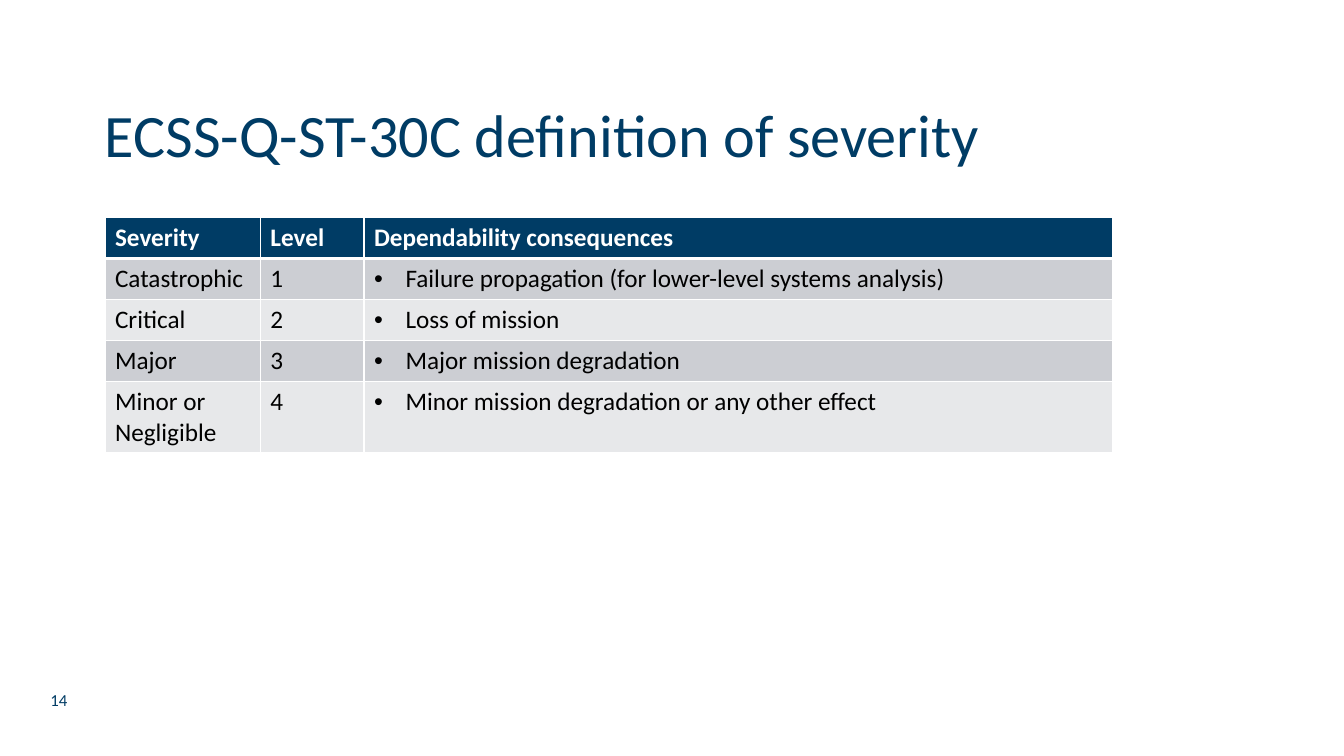
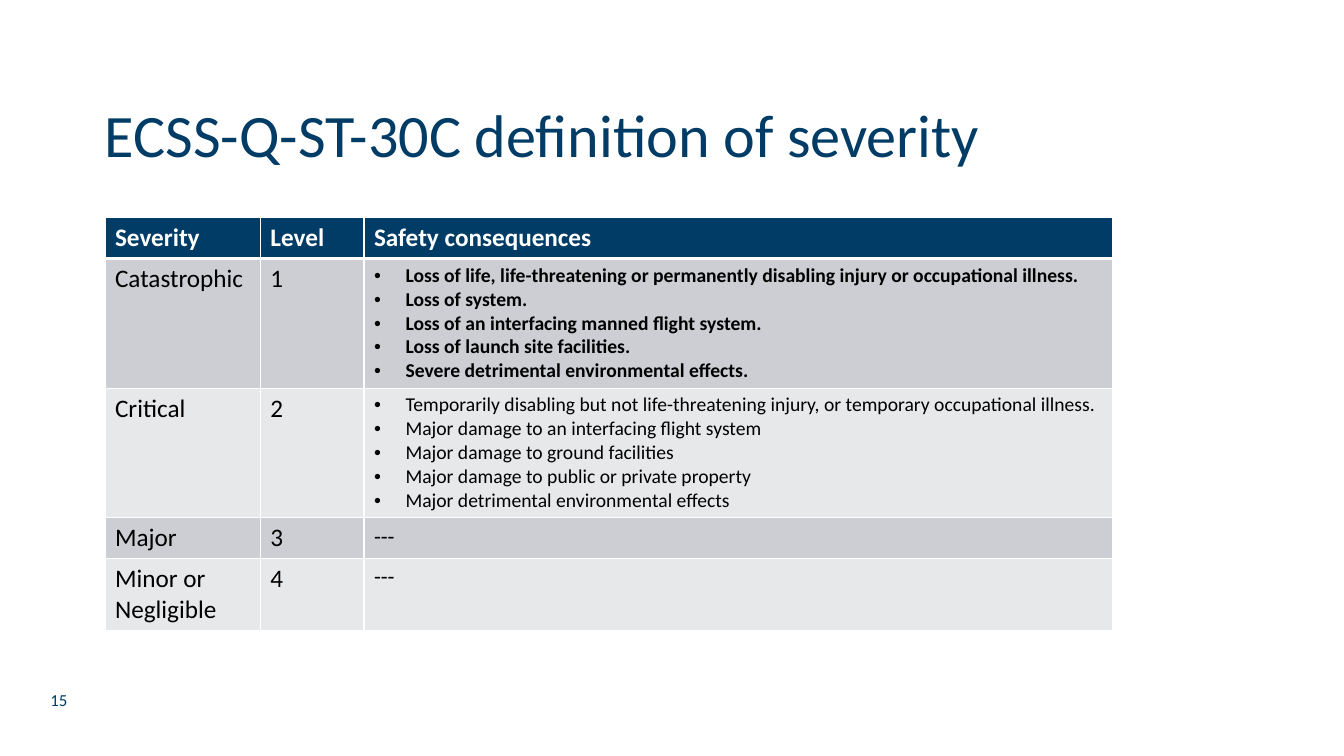
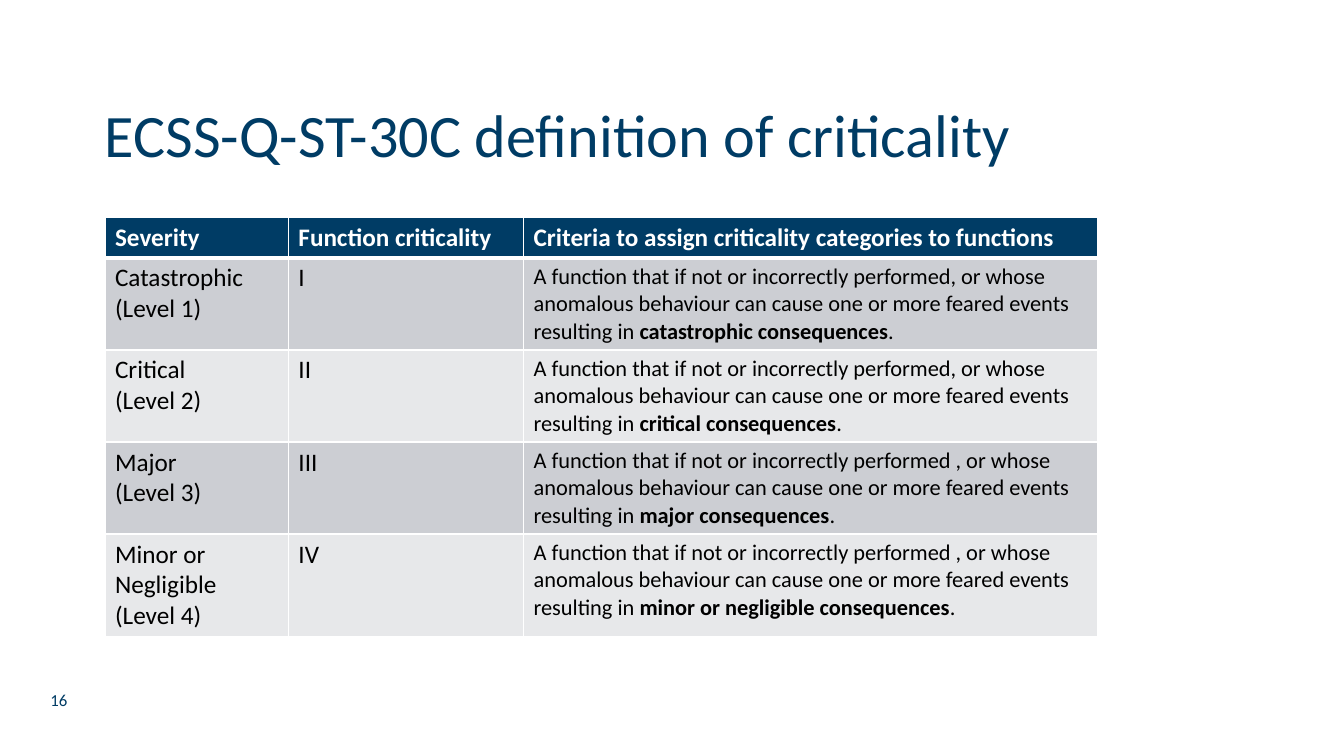
from pptx import Presentation
from pptx.dml.color import RGBColor as RGB
from pptx.enum.text import MSO_ANCHOR as Anchor
from pptx.oxml.ns import qn
from pptx.util import Pt
from lxml.etree import SubElement as Sub

HUES = {"navy": "003C65", "white": "FFFFFF", "black": "000000",
        "dark": "CCCED3", "light": "E7E8EA"}
FACE = "Calibri"
HEAD = {"size": Pt(18), "bold": True}
BODY = {"size": Pt(18), "bold": False}
TITLE = {"size": Pt(43)}
FOOT = {"size": Pt(12)}
TITLE_BOX = (75, 70, 708.5, 72.5)
FOOT_BOX = (36, 492.5, 24.5, 14.5)
LEFT = 75
LINE, TALL = 29.25, 51.25
LEVELS = ["Catastrophic", "Critical", "Major", "Minor or Negligible"]


def style(run, hue, form):
    for key, val in {"name": FACE, **form}.items():
        setattr(run.font, key, val)
    run.font.color.rgb = RGB.from_string(HUES[hue])


def add_bullet(para):
    props = para._p.get_or_add_pPr()
    for key, val in {"marL": Pt(22.5), "indent": -Pt(22.5)}.items():
        props.set(key, str(int(val)))
    Sub(props, qn("a:buFont"), typeface="Arial")
    Sub(props, qn("a:buChar"), char="•")


def write(frame, paras, hue, form, bullet=False):
    """Fill a frame; each paragraph is a string or a list of (text, bold)."""
    frame.word_wrap = True
    for i, parts in enumerate(paras):
        para = frame.add_paragraph() if i else frame.paragraphs[0]
        if bullet:
            add_bullet(para)
        if isinstance(parts, str):
            parts = [(parts, form.get("bold", False))]
        for text, bold in parts:
            run = para.add_run()
            run.text = text
            style(run, hue, {**form, "bold": bold})


def add_label(slide, box, text, form, foot=0):
    frame = slide.shapes.add_textbox(*map(Pt, box)).text_frame
    pads = {"margin_left": 0, "margin_top": 0, "margin_right": 0,
            "margin_bottom": Pt(foot), "vertical_anchor": Anchor.MIDDLE}
    for key, val in pads.items():
        setattr(frame, key, val)
    write(frame, [text], "navy", form)


def paint(cell, hue, base):
    """Give a cell white borders, the lower one base points wide, and a fill."""
    props = cell._tc.get_or_add_tcPr()
    for side, wide in {"lnL": 1, "lnR": 1, "lnT": 1, "lnB": base}.items():
        edge = Sub(props, qn("a:" + side), w=str(int(Pt(wide))))
        Sub(Sub(edge, qn("a:solidFill")), qn("a:srgbClr"), val=HUES["white"])
    cell.fill.solid()
    cell.fill.fore_color.rgb = RGB.from_string(HUES[hue])


def add_grid(slide, top, cols, rows, heads, body):
    """Each body row holds two lists of lines and a (lines, form, bullet)."""
    box = (LEFT, top, sum(cols), sum(rows))
    grid = slide.shapes.add_table(len(rows), len(cols), *map(Pt, box)).table
    for col, wide in zip(grid.columns, cols):
        col.width = Pt(wide)
    for row, high in zip(grid.rows, rows):
        row.height = Pt(high)
    for c, text in enumerate(heads):
        cell = grid.cell(0, c)
        paint(cell, "navy", 3)
        write(cell.text_frame, [text], "white", HEAD)
    for r, (name, rank, last) in enumerate(body, 1):
        cells = [(name, BODY, False), (rank, BODY, False), last]
        for c, (paras, form, bullet) in enumerate(cells):
            cell = grid.cell(r, c)
            paint(cell, "dark" if r % 2 else "light", 1)
            write(cell.text_frame, paras, "black", form, bullet)


def add_page(deck, num, title, *grid):
    slide = deck.slides.add_slide(deck.slide_layouts[6])
    add_label(slide, TITLE_BOX, title, TITLE, 21.5)
    add_grid(slide, *grid)
    add_label(slide, FOOT_BOX, str(num), FOOT)


def add_severity(deck, num, kind, rows, lasts):
    body = [([name], [str(i)], last)
            for i, (name, last) in enumerate(zip(LEVELS, lasts), 1)]
    add_page(deck, num, "ECSS-Q-ST-30C definition of severity", 155.5,
             (111, 74, 535), rows,
             ["Severity", "Level", kind + " consequences"], body)


def add_critical(deck, num):
    body = []
    for i, (name, rank) in enumerate(zip(LEVELS, ["I", "II", "III", "IV"]), 1):
        gap = " " if i > 2 else ""
        rule = [(f"A function that if not or incorrectly performed{gap}, or "
                 "whose anomalous behaviour can cause one or more feared "
                 "events resulting in ", False),
                (name.lower() + " consequences", True), (".", False)]
        body.append(([name, f"(Level {i})"], [rank],
                     ([rule], {"size": Pt(16)}, False)))
    add_page(deck, num, "ECSS-Q-ST-30C definition of criticality", 155,
             (131, 168, 410), (LINE, 65.75, 65.75, 65.75, 73),
             ["Severity", "Function criticality",
              "Criteria to assign criticality categories to functions"], body)


def main():
    deck = Presentation()
    deck.slide_width, deck.slide_height = Pt(960), Pt(540)
    effects = ["Failure propagation (for lower-level systems analysis)",
               "Loss of mission", "Major mission degradation",
               "Minor mission degradation or any other effect"]
    add_severity(deck, 14, "Dependability", (LINE, LINE, LINE, LINE, TALL),
                 [([text], BODY, True) for text in effects])
    worst = ["Loss of life, life-threatening or permanently disabling injury "
             "or occupational illness.",
             "Loss of system.",
             "Loss of an interfacing manned flight system.",
             "Loss of launch site facilities.",
             "Severe detrimental environmental effects."]
    grave = ["Temporarily disabling but not life-threatening injury, or "
             "temporary occupational illness.",
             "Major damage to an interfacing flight system",
             "Major damage to ground facilities",
             "Major damage to public or private property",
             "Major detrimental environmental effects"]
    none = (["---"], {"size": Pt(16)}, False)
    add_severity(deck, 15, "Safety", (LINE, 92.5, 92.5, LINE, TALL),
                 [(worst, {"size": Pt(14), "bold": True}, True),
                  (grave, {"size": Pt(14)}, True), none, none])
    add_critical(deck, 16)
    deck.save("out.pptx")


if __name__ == "__main__":
    main()
